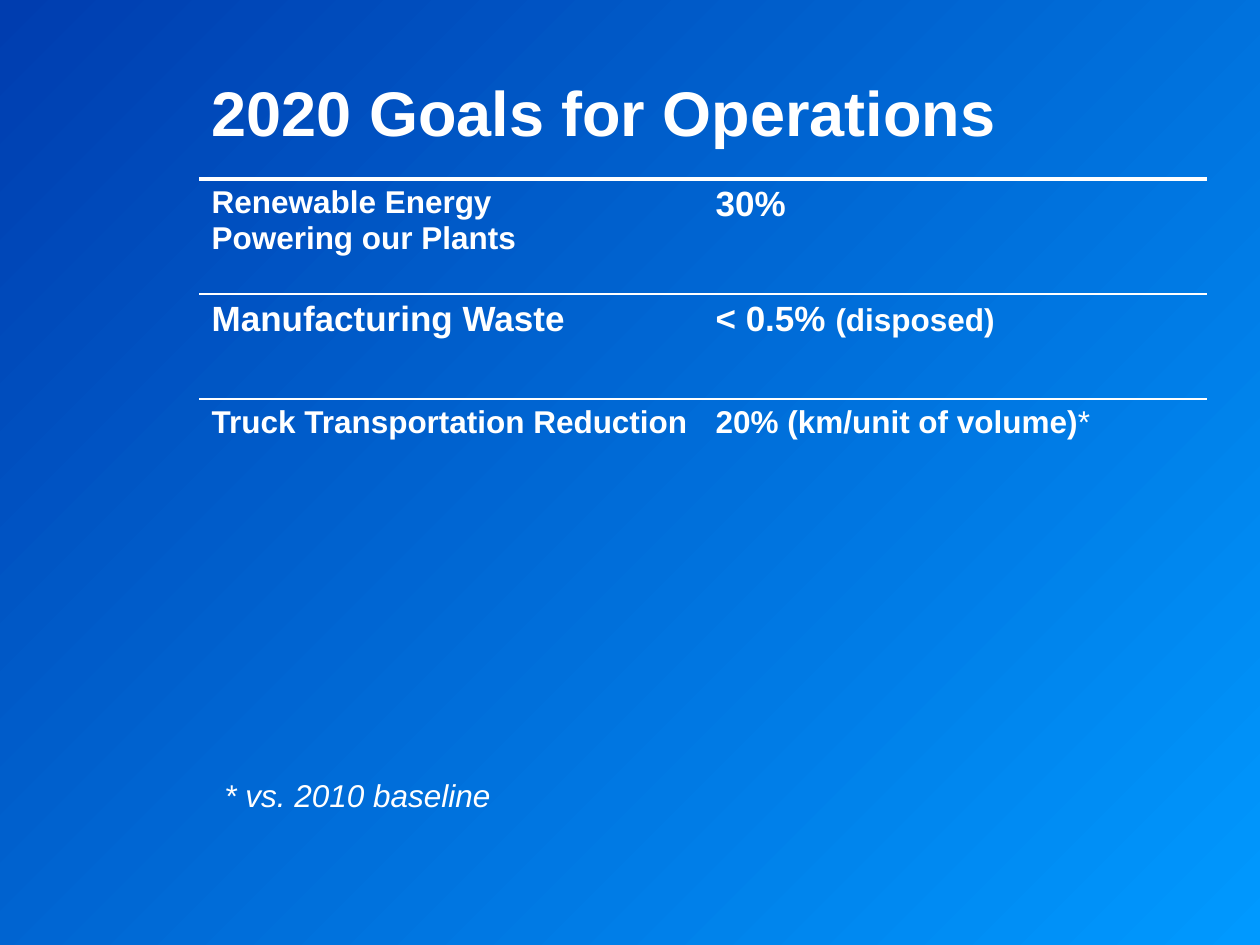
from dataclasses import dataclass
from typing import Optional

from lxml import etree
from pptx import Presentation
from pptx.dml.color import RGBColor
from pptx.enum.text import MSO_ANCHOR, MSO_AUTO_SIZE
from pptx.oxml.ns import qn
from pptx.slide import Slide
from pptx.table import _Cell
from pptx.text.text import Font, _Paragraph
from pptx.util import Emu, Pt

TOP = MSO_ANCHOR.TOP
FIT_SHAPE = MSO_AUTO_SIZE.SHAPE_TO_FIT_TEXT
PIXELS_PER_INCH = 126


@dataclass(frozen=True)
class Theme:
    font: str = "Arial"
    text: str = "FFFFFF"
    light: str = "0099FF"
    dark: str = "003DAF"
    title_size: int = 36
    large_size: int = 20
    body_size: int = 18
    heavy_rule: int = 3
    thin_rule: int = 1


THEME = Theme()


@dataclass(frozen=True)
class Span:
    text: str
    size: int = THEME.body_size
    bold: bool = True
    italic: bool = False


@dataclass(frozen=True)
class Row:
    height: int
    cells: list[list[Span]]
    rule_above: Optional[int] = None


GOAL_ROWS = [
    Row(106, [[Span("2020 Goals for Operations", THEME.title_size)]]),
    Row(
        115,
        [[Span("Renewable Energy\vPowering our Plants")], [Span("30%", THEME.large_size)]],
        THEME.heavy_rule,
    ),
    Row(
        105,
        [
            [Span("Manufacturing Waste", THEME.large_size)],
            [Span("< 0.5% ", THEME.large_size), Span("(disposed)")],
        ],
        THEME.thin_rule,
    ),
    Row(
        140,
        [
            [Span("Truck Transportation Reduction")],
            [Span("20% (km/unit of volume)"), Span("*", bold=False)],
        ],
        THEME.thin_rule,
    ),
]


def px(length: int) -> Emu:
    return Emu(round(length * 914400 / PIXELS_PER_INCH))


def style_font(font: Font, span: Span) -> None:
    font.name = THEME.font
    font.size = Pt(span.size)
    font.bold = span.bold
    font.italic = span.italic
    font.color.rgb = RGBColor.from_string(THEME.text)


def write_spans(paragraph: _Paragraph, spans: list[Span]) -> None:
    first, *others = spans
    paragraph.text = first.text
    style_font(paragraph.font, first)
    for span in others:
        run = paragraph.add_run()
        run.text = span.text
        style_font(run.font, span)


def set_borders(cell: _Cell, above: Optional[int], below: Optional[int]) -> None:
    properties = cell._tc.get_or_add_tcPr()
    borders = {"a:lnL": None, "a:lnR": None, "a:lnT": above, "a:lnB": below}
    for index, (tag, width) in enumerate(borders.items()):
        line = etree.Element(qn(tag))
        if width is None:
            etree.SubElement(line, qn("a:noFill"))
        else:
            line.set("w", str(Pt(width)))
            fill = etree.SubElement(line, qn("a:solidFill"))
            etree.SubElement(fill, qn("a:srgbClr"), val=THEME.text)
        properties.insert(index, line)


def paint_background(slide: Slide) -> None:
    fill = slide.background.fill
    fill.gradient()
    for stop, position, color in zip(fill.gradient_stops, (0, 1), (THEME.light, THEME.dark)):
        stop.position = position
        stop.color.rgb = RGBColor.from_string(color)
    gradient = next(slide._element.iter(qn("a:gradFill")))
    gradient.remove(gradient.find(qn("a:lin")))
    circle = etree.SubElement(gradient, qn("a:path"), {"path": "circle"})
    etree.SubElement(circle, qn("a:fillToRect"), l="100000", t="100000")


def add_goal_table(slide: Slide, left: int, top: int, column_width: int) -> None:
    height = sum(row.height for row in GOAL_ROWS)
    frame = slide.shapes.add_table(
        len(GOAL_ROWS), 2, px(left), px(top), px(2 * column_width), px(height)
    )
    table = frame.table
    table.first_row = False
    table.horz_banding = False
    table.cell(0, 0).merge(table.cell(0, 1))
    rules = [row.rule_above for row in GOAL_ROWS] + [None]
    for index, row in enumerate(GOAL_ROWS):
        table.rows[index].height = px(row.height)
        for cell in table.rows[index].cells:
            cell.fill.background()
            cell.vertical_anchor = TOP
            set_borders(cell, rules[index], rules[index + 1])
        for column, spans in enumerate(row.cells):
            write_spans(table.cell(index, column).text_frame.paragraphs[0], spans)


def add_footnote(slide: Slide, left: int, top: int, width: int, height: int) -> None:
    box = slide.shapes.add_textbox(px(left), px(top), px(width), px(height))
    box.text_frame.word_wrap = False
    box.text_frame.auto_size = FIT_SHAPE
    note = Span("* vs. 2010 baseline", bold=False, italic=True)
    write_spans(box.text_frame.paragraphs[0], [note])


def main() -> None:
    presentation = Presentation()
    presentation.slide_width = px(1260)
    presentation.slide_height = px(945)
    slide = presentation.slides.add_slide(presentation.slide_layouts[6])
    paint_background(slide)
    add_goal_table(slide, left=199, top=73, column_width=504)
    add_footnote(slide, left=212, top=770, width=302, height=50)
    presentation.save("out.pptx")


if __name__ == "__main__":
    main()
